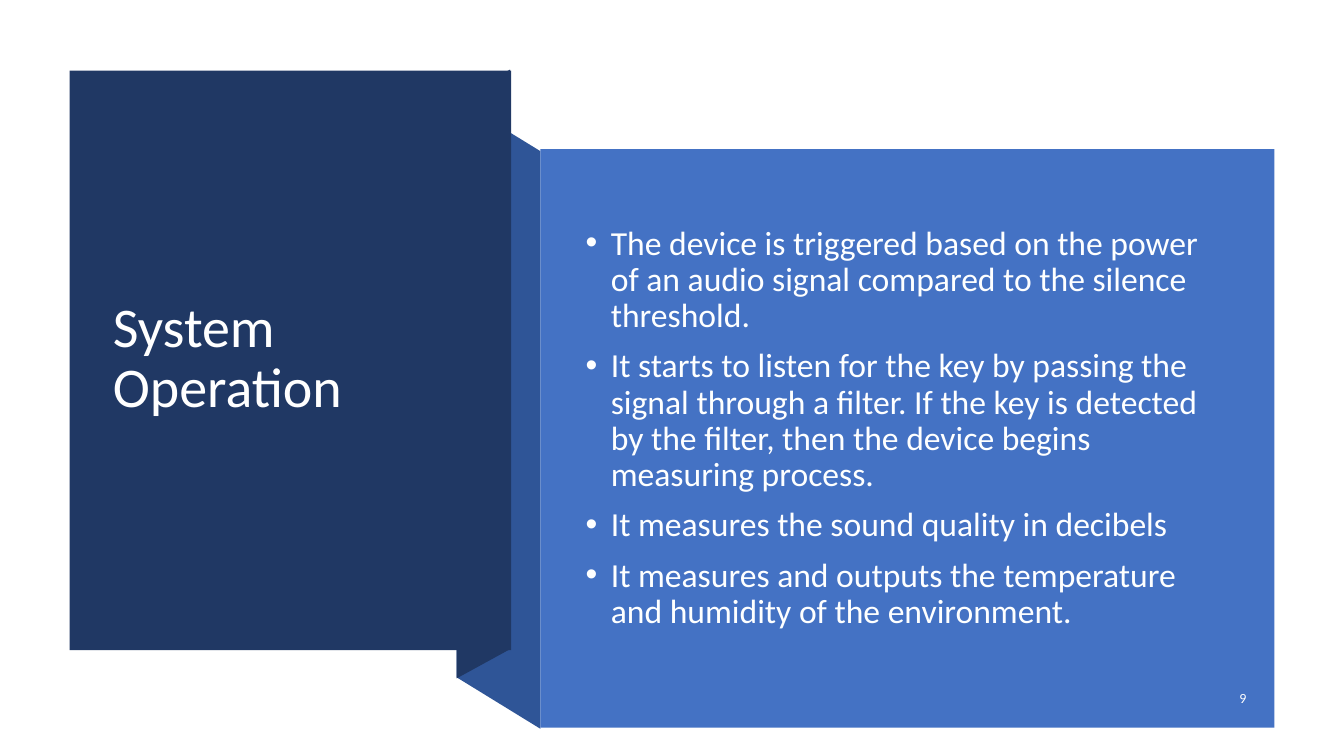
from dataclasses import dataclass

from lxml import etree
from pptx import Presentation
from pptx.dml.color import RGBColor
from pptx.enum import shapes, text
from pptx.oxml import ns
from pptx.util import Inches, Pt


@dataclass(frozen=True)
class Theme:
    font: str = "Calibri"
    navy: str = "203864"
    fold: str = "2F5597"
    blue: str = "4472C4"
    white: str = "FFFFFF"
    body_white: str = "FEFFFF"
    title_size: int = 40
    body_size: int = 24
    number_size: int = 10


THEME = Theme()

OPERATION_STEPS = [
    "The device is triggered based on the power of an audio signal compared "
    "to the silence threshold.",
    "It starts to listen for the key by passing the signal through a filter. "
    "If the key is detected by the filter, then the device begins measuring process.",
    "It measures the sound quality in decibels",
    "It measures and outputs the temperature and humidity of the environment.",
]


def paint(sp, color):
    """Give a shape a plain fill with no outline or shadow."""
    sp.fill.solid()
    sp.fill.fore_color.rgb = RGBColor.from_string(color)
    sp.line.fill.background()
    sp.shadow.inherit = False


def add_panel(s, left, top, width, height, color):
    sp = s.shapes.add_shape(shapes.MSO_SHAPE.RECTANGLE, Inches(left), Inches(top),
                            Inches(width), Inches(height))
    paint(sp, color)


def add_fold(s, points, color):
    corners = [(Inches(x), Inches(y)) for x, y in points]
    builder = s.shapes.build_freeform(*corners[0])
    builder.add_line_segments(corners[1:], close=True)
    paint(builder.convert_to_shape(), color)


def set_frame(sp, left, top, width, height):
    """Place a text shape and return its wrapped, vertically centred frame."""
    sp.left, sp.top = Inches(left), Inches(top)
    sp.width, sp.height = Inches(width), Inches(height)
    tf = sp.text_frame
    tf.word_wrap = True
    tf.auto_size = text.MSO_AUTO_SIZE.NONE
    tf.vertical_anchor = text.MSO_ANCHOR.MIDDLE
    return tf


def add_run(p, words, size, color):
    r = p.add_run()
    r.text = words
    r.font.name = THEME.font
    r.font.size = Pt(size)
    r.font.color.rgb = RGBColor.from_string(color)


def set_bullet(p):
    props = p._p.get_or_add_pPr()
    props.set("marL", str(Inches(0.25)))
    props.set("indent", str(Inches(-0.25)))
    font = etree.SubElement(props, ns.qn("a:buFont"))
    font.set("typeface", "Arial")
    etree.SubElement(props, ns.qn("a:buChar")).set("char", "•")


def add_title(s, words):
    title = s.shapes.title
    tf = set_frame(title, 1.02, 1.07, 3.71, 4.99)
    p = tf.paragraphs[0]
    p.alignment = text.PP_ALIGN.LEFT
    p.line_spacing = 0.9
    add_run(p, words, THEME.title_size, THEME.white)
    # Bring the title in front of the navy panel.
    title.element.getparent().append(title.element)


def add_bullets(s, items):
    box = s.shapes.add_textbox(0, 0, 0, 0)
    tf = set_frame(box, 5.71, 1.88, 6.51, 4.74)
    for i, item in enumerate(items):
        p = tf.add_paragraph() if i else tf.paragraphs[0]
        set_bullet(p)
        p.line_spacing = 0.9
        p.space_before = Pt(10 if i else 0)
        add_run(p, item, THEME.body_size, THEME.body_white)


def add_slide_number(s, number):
    box = s.shapes.add_textbox(0, 0, 0, 0)
    p = set_frame(box, 11.71, 6.75, 0.75, 0.35).paragraphs[0]
    p.alignment = text.PP_ALIGN.RIGHT
    add_run(p, number, THEME.number_size, THEME.white)


def main():
    prs = Presentation()
    prs.slide_width, prs.slide_height = Inches(13.33), Inches(7.5)
    s = prs.slides.add_slide(prs.slide_layouts[5])

    add_fold(s, [(5.36, 7.23), (4.53, 6.72), (4.53, 0.99), (5.36, 1.5)], THEME.fold)
    add_fold(s, [(5.06, 6.44), (4.53, 6.73), (4.53, 0.98), (5.06, 0.69)], THEME.navy)
    add_panel(s, 0.69, 0.7, 4.38, 5.75, THEME.navy)
    add_title(s, "System Operation")
    add_panel(s, 5.36, 1.48, 7.28, 5.74, THEME.blue)
    add_bullets(s, OPERATION_STEPS)
    add_slide_number(s, "9")

    prs.save("out.pptx")


if __name__ == "__main__":
    main()
